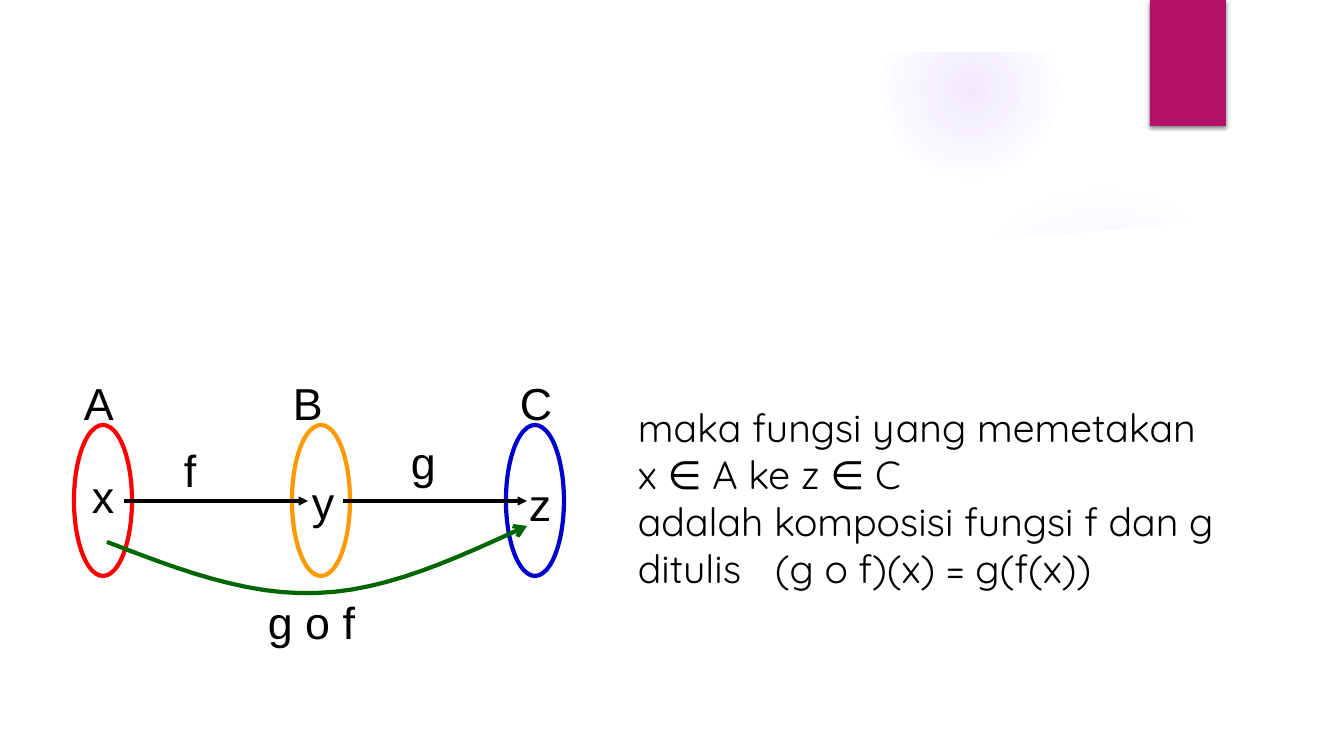
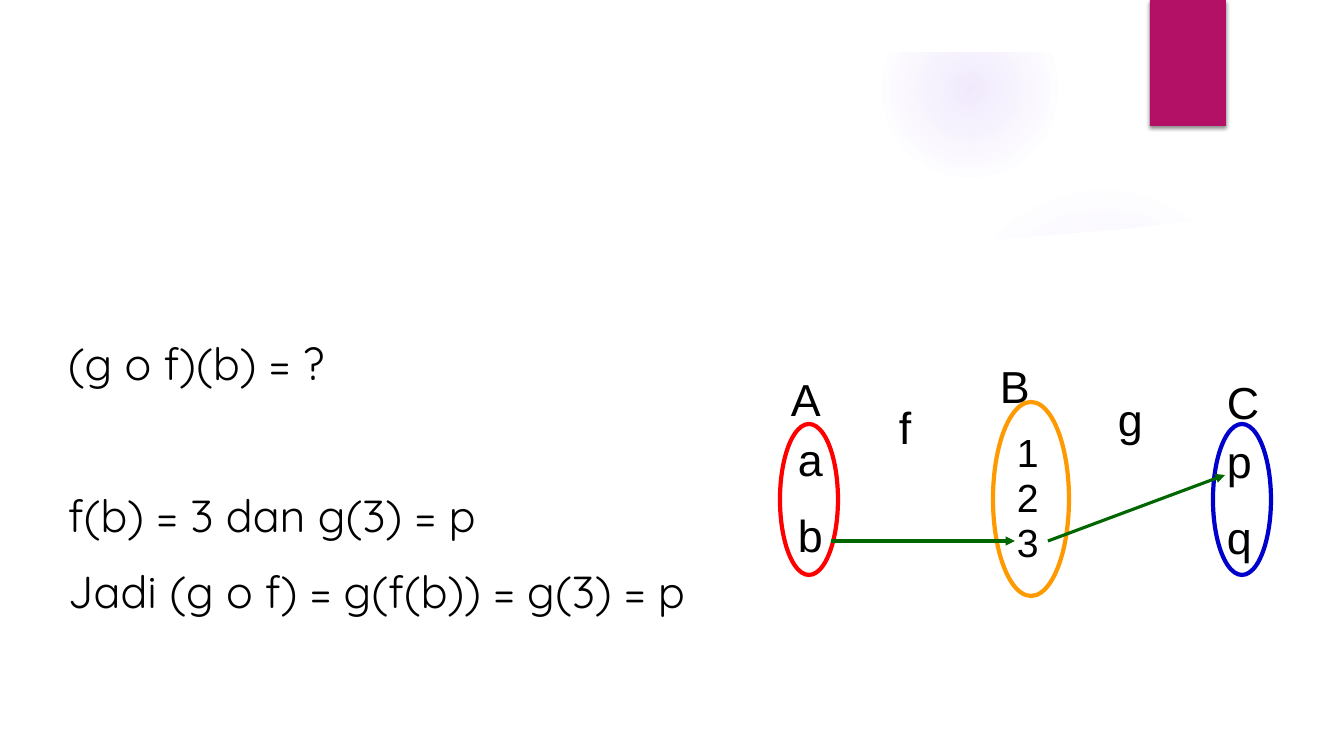
"""Build two slides on the composition of functions."""
from pptx import Presentation
from pptx.dml.color import RGBColor
from pptx.enum.shapes import MSO_CONNECTOR, MSO_SHAPE
from pptx.oxml import parse_xml
from pptx.oxml.ns import nsdecls
from pptx.util import Emu, Pt

LINE = MSO_CONNECTOR.STRAIGHT
OVAL, RECT = MSO_SHAPE.OVAL, MSO_SHAPE.RECTANGLE
SCALE = 914400 / 100.8
WIDE, HIGH = 1344, 756
SANS, ROUND = "Arial", "Quicksand"
HUES = {
    "white": "FFFFFF", "black": "000000", "glow": "9B6BF2", "flag": "B31166",
    "red": "FF0000", "blue": "0000CC", "gold": "FF9900", "green": "006600",
}

GLOWS = [
    ((949, 184, 310, 310), [(0, 7), (36, 6), (69, 0)]),
    ((882, 1, 176, 176), [(0, 14), (36, 7), (73, 0)]),
]
SHEET = [(50, 206), (188, 223), (444, 243), (712, 250), (957, 243), (1125, 229),
         (1210, 219), (1294, 206), (1294, 706), (50, 706)]
BAND = (0, 0, WIDE, 52)
FLAG = (1150, 0, 76, 126)

SLIDES = [
    {
        "sets": [("red", (74, 425, 58, 151)), ("blue", (506, 425, 58, 151)),
                 ("gold", (292, 425, 58, 151))],
        "arrows": [("black", (124, 501), (308, 501)),
                   ("black", (343, 501), (527, 501))],
        "curves": [[(107, 542), (177, 569), (247, 596), (317, 593)],
                   [(317, 593), (387, 591), (457, 558), (527, 526)]],
        "marks": [("A", 74, 371), ("B", 283, 371), ("C", 510, 371),
                  ("x", 82, 464), ("y", 302, 470), ("z", 519, 472),
                  ("f", 174, 438), ("g", 401, 430), ("g o f", 258, 590)],
        "texts": [
            {"box": (628, 398, 702, 200), "font": ROUND, "size": 28, "tab": 137,
             "lines": [("maka fungsi yang memetakan", 0),
                       ("x ∈ A ke z ∈ C", 0),
                       ("adalah komposisi fungsi f dan g", 0),
                       ("ditulis\t(g o f)(x) = g(f(x))", 0)]},
        ],
    },
    {
        "sets": [("red", (780, 424, 58, 151)), ("blue", (1213, 424, 58, 151)),
                 ("gold", (993, 402, 76, 194))],
        "arrows": [("green", (831, 541), (1015, 541)),
                   ("green", (1048, 541), (1225, 475))],
        "curves": [],
        "marks": [("A", 781, 367), ("B", 990, 354), ("C", 1217, 370),
                  ("f", 889, 395), ("g", 1108, 387)],
        "texts": [
            {"box": (788, 427, 67, 144), "lines": [("a", 0), ("b", 16)]},
            {"box": (1217, 429, 67, 144), "lines": [("p", 0), ("q", 16)]},
            {"box": (1007, 427, 67, 138), "size": 28, "pitch": 0.95,
             "lines": [("1", 0), ("2", 0), ("3", 0)]},
            {"box": (58, 331, 723, 308), "font": ROUND,
             "lines": [("(g o f)(b) = ?", 0),
                       ("f(b) = 3 dan g(3) = p", 70),
                       ("Jadi (g o f) = g(f(b)) = g(3) = p", 16)]},
        ],
    },
]


def px(num):
    return Emu(round(num * SCALE))


def rgb(name):
    return RGBColor.from_string(HUES[name])


def paint(shape, fill=None, line=None):
    shape.shadow.inherit = False
    if fill:
        shape.fill.solid()
        shape.fill.fore_color.rgb = rgb(fill)
    else:
        shape.fill.background()
    if line:
        shape.line.color.rgb = rgb(line)
        shape.line.width = Pt(3)
    else:
        shape.line.fill.background()


def add_part(slide, kind, box, fill=None, line=None):
    shape = slide.shapes.add_shape(kind, *map(px, box))
    paint(shape, fill, line)
    return shape


def add_path(slide, points, close, fill=None, line=None):
    spots = [(px(x), px(y)) for x, y in points]
    build = slide.shapes.build_freeform(*spots[0], scale=1.0)
    build.add_line_segments(spots[1:], close=close)
    shape = build.convert_to_shape()
    paint(shape, fill, line)
    return shape


def add_head(shape, kind):
    shape.line._get_or_add_ln().append(
        parse_xml(f'<a:tailEnd {nsdecls("a")} type="{kind}"/>'))


def add_glow(slide, box, stops):
    props = add_part(slide, OVAL, box).element.spPr
    marks = "".join(
        f'<a:gs pos="{pos * 1000}"><a:srgbClr val="{HUES["glow"]}">'
        f'<a:alpha val="{alpha * 1000}"/></a:srgbClr></a:gs>'
        for pos, alpha in stops)
    grad = parse_xml(
        f'<a:gradFill {nsdecls("a")} rotWithShape="1"><a:gsLst>{marks}</a:gsLst>'
        '<a:path path="circle"><a:fillToRect l="50000" t="50000" r="50000" '
        'b="50000"/></a:path></a:gradFill>')
    props.replace(props.find("{*}noFill"), grad)


def add_base(slide):
    for box, stops in GLOWS:
        add_glow(slide, box, stops)
    add_path(slide, SHEET, True, "white")
    add_part(slide, RECT, BAND, "white")
    flag = add_part(slide, RECT, FLAG, "flag")
    flag.element.spPr.find("{*}effectLst").append(parse_xml(
        f'<a:outerShdw {nsdecls("a")} blurRad="{Pt(3)}" dist="{Pt(2)}" '
        f'dir="5400000" rotWithShape="0"><a:srgbClr val="{HUES["black"]}">'
        '<a:alpha val="45000"/></a:srgbClr></a:outerShdw>'))


def add_arrow(slide, hue, start, end):
    line = slide.shapes.add_connector(LINE, *map(px, start + end))
    line.line.color.rgb = rgb(hue)
    line.line.width = Pt(2.25)
    add_head(line, "triangle")
    line.element.spPr.append(parse_xml(f'<a:effectLst {nsdecls("a")}/>'))


def bezier(ends, steps=12):
    for step in range(steps + 1):
        t = step / steps
        rates = ((1 - t) ** 3, 3 * t * (1 - t) ** 2, 3 * t * t * (1 - t), t ** 3)
        yield tuple(sum(r * p[axis] for r, p in zip(rates, ends))
                    for axis in (0, 1))


def add_curve(slide, curves):
    points = [curves[0][0]]
    for ends in curves:
        points += list(bezier(ends))[1:]
    add_head(add_path(slide, points, False, line="green"), "arrow")


def add_text(slide, box, lines, font=SANS, size=32, pitch=None, tab=None):
    frame = slide.shapes.add_textbox(*map(px, box)).text_frame
    frame.word_wrap = True
    for row, (text, gap) in enumerate(lines):
        para = frame.add_paragraph() if row else frame.paragraphs[0]
        para.space_before = Pt(gap)
        if pitch:
            para.line_spacing = pitch
        if "\t" in text:
            para._p.get_or_add_pPr().append(parse_xml(
                f'<a:tabLst {nsdecls("a")}><a:tab pos="{px(tab)}" algn="l"/>'
                '</a:tabLst>'))
        run = para.add_run()
        run.text = text
        run.font.name = font
        run.font.size = Pt(size)
        run.font.color.rgb = rgb("black")


def main():
    deck = Presentation()
    deck.slide_width, deck.slide_height = px(WIDE), px(HIGH)
    for page in SLIDES:
        slide = deck.slides.add_slide(deck.slide_layouts[6])
        add_base(slide)
        for hue, box in page["sets"]:
            add_part(slide, OVAL, box, line=hue)
        for arrow in page["arrows"]:
            add_arrow(slide, *arrow)
        if page["curves"]:
            add_curve(slide, page["curves"])
        for text, x, y in page["marks"]:
            wide = 67 if len(text) == 1 else 126
            add_text(slide, (x, y, wide, 63), [(text, 0)])
        for item in page["texts"]:
            add_text(slide, **item)
    deck.save("out.pptx")


if __name__ == "__main__":
    main()
